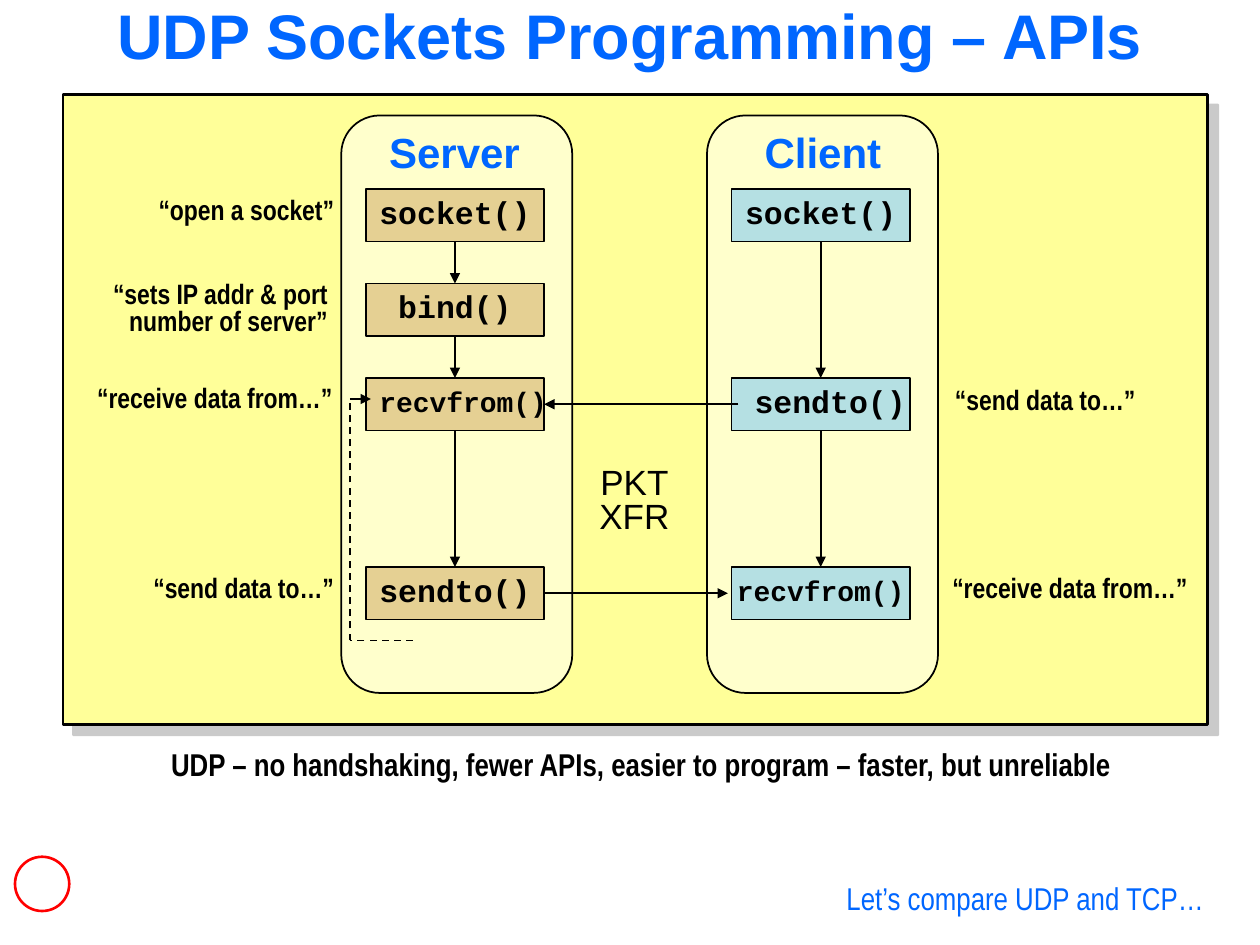
from lxml import etree
from pptx import Presentation
from pptx import util as u
from pptx.dml import color
from pptx.enum import dml, shapes, text
from pptx.oxml import ns

COLORS = {
    "title": "0066FF", "ink": "000000", "panel": "FFFF99", "lane": "FFFFCC",
    "server": "E5D093", "client": "B5E0E3", "shadow": "969696",
    "badge": "FF0000", "paper": "FFFFFF",
}
BOX_WIDTH, BOX_HEIGHT, LANE_MARGIN = 102, 30, 14
ROWS = {"open": 108, "bind": 162, "request": 216, "reply": 324}
LANES = {
    "server": (195, "Server", 215.3, 89.3, [
        ("open", "socket()", 18), ("bind", "bind()", 18),
        ("request", " recvfrom()", 16), ("reply", "sendto()", 18)]),
    "client": (404, "Client", 429.8, 80.6, [
        ("open", "socket()", 18), ("request", " sendto()", 18),
        ("reply", "recvfrom()", 16)]),
}
NOTES = [
    ("“open a socket”", 83.5, 110.2, 114.5, 23, "LEFT"),
    ("“sets IP addr & port\nnumber of server”", 57.6, 158.4, 136.8, 38.2, "RIGHT"),
    ("“receive data from…”", 48.2, 217.4, 149, 23, "RIGHT"),
    ("“send data to…”", 80.6, 326.2, 117.4, 23, "LEFT"),
    ("“send data to…”", 538.6, 218.9, 117.4, 23, "LEFT"),
    ("“receive data from…”", 537.1, 326.2, 149, 23, "LEFT"),
]


def rgb(name):
    """Return the named colour."""
    return color.RGBColor.from_string(COLORS[name])


def add_element(parent, tag, **attributes):
    """Append a DrawingML element with the given attributes."""
    return etree.SubElement(parent, ns.qn(tag), attributes)


def write(frame, words, size=16, font="Arial Narrow", ink="ink", bold=True,
          align="LEFT", spacing=0.8, anchor="TOP", wrap=True):
    """Put one formatted paragraph into a text frame."""
    frame.word_wrap = wrap
    frame.vertical_anchor = getattr(text.MSO_ANCHOR, anchor)
    paragraph = frame.paragraphs[0]
    paragraph.text = words
    paragraph.alignment = getattr(text.PP_ALIGN, align)
    paragraph.line_spacing = spacing
    for run in paragraph.runs:
        run.font.size = u.Pt(size)
        run.font.name = font
        run.font.bold = bold
        run.font.color.rgb = rgb(ink)


def add_label(slide, words, left, top, width, height, align="LEFT", **style):
    """Add a free-standing label, with an inset only on its aligned side."""
    label = slide.shapes.add_textbox(u.Pt(left), u.Pt(top), u.Pt(width), u.Pt(height))
    frame = label.text_frame
    frame.margin_left = u.Pt(7.2 if align == "LEFT" else 0)
    frame.margin_right = u.Pt(7.2 if align == "RIGHT" else 0)
    write(frame, words, align=align, **style)


def add_block(slide, kind, left, top, width, height, fill, line="ink", weight=1):
    """Add a filled and outlined preset shape."""
    block = slide.shapes.add_shape(kind, u.Pt(left), u.Pt(top), u.Pt(width), u.Pt(height))
    block.shadow.inherit = False
    block.fill.solid()
    block.fill.fore_color.rgb = rgb(fill)
    block.line.color.rgb = rgb(line)
    block.line.width = u.Pt(weight)
    return block


def add_link(slide, start=(0, 0), end=(0, 0), source=None, target=None,
             arrow=True, dashed=False):
    """Add a line, joined to (box, side) pairs where they are given."""
    link = slide.shapes.add_connector(
        shapes.MSO_CONNECTOR.STRAIGHT, *(u.Pt(value) for value in (*start, *end)))
    if source:
        link.begin_connect(*source)
    if target:
        link.end_connect(*target)
    link.line.color.rgb = rgb("ink")
    link.line.width = u.Pt(1)
    if dashed:
        link.line.dash_style = dml.MSO_LINE.DASH
    properties = link._element.spPr
    if arrow:
        add_element(properties.get_or_add_ln(), "a:tailEnd", type="triangle")
    add_element(properties, "a:effectLst")


def add_title(slide):
    """Place and format the title."""
    title = slide.shapes.title
    title.left, title.top, title.width, title.height = (
        u.Pt(value) for value in (0, 4.3, 720, 48.2))
    frame = title.text_frame
    frame.margin_left = frame.margin_right = u.Pt(3.6)
    frame.margin_top = frame.margin_bottom = u.Pt(3.6)
    write(frame, "UDP Sockets Programming – APIs", size=36, font="Arial",
          ink="title", align="CENTER", spacing=0.75)


def add_panel(slide):
    """Add the background panel with its offset shadow."""
    panel = add_block(slide, shapes.MSO_SHAPE.RECTANGLE, 36, 54, 654, 360, "panel", weight=1.5)
    effects = panel._element.spPr.find(ns.qn("a:effectLst"))
    shadow = add_element(effects, "a:outerShdw", dist=str(u.Pt(8.5)), dir="2700000",
                         algn="ctr", rotWithShape="0")
    tint = add_element(shadow, "a:srgbClr", val=COLORS["shadow"])
    add_element(tint, "a:alpha", val="50000")


def add_lane(slide, role):
    """Add one role's lane and chain of calls, and return the boxes by row."""
    left, heading, heading_left, heading_width, calls = LANES[role]
    add_block(slide, shapes.MSO_SHAPE.ROUNDED_RECTANGLE, left, 66, 132, 330, "lane")
    add_label(slide, heading, heading_left, 74.2, heading_width, 30.2,
              size=24, font="Arial", ink="title")
    boxes = {}
    previous = None
    for row, call, size in calls:
        box = add_block(slide, shapes.MSO_SHAPE.RECTANGLE, left + LANE_MARGIN,
                        ROWS[row], BOX_WIDTH, BOX_HEIGHT, role)
        write(box.text_frame, call, size=size, font="Courier New",
              align="CENTER", anchor="MIDDLE", wrap=False)
        if previous:
            add_link(slide, source=(previous, 2), target=(box, 0))
        boxes[row] = previous = box
    return boxes


def add_exchange(slide, server):
    """Add the packet arrows between the lanes and the server's loop."""
    middle = BOX_HEIGHT / 2
    add_link(slide, start=(422, ROWS["request"] + middle), target=(server["request"], 3))
    add_link(slide, end=(416, ROWS["reply"] + middle), source=(server["reply"], 3))
    add_label(slide, "PKT\nXFR", 335.5, 264.2, 54, 46.1, size=20, font="Arial",
              bold=False, align="CENTER")
    loop = [(236, 366), (200, 366), (200, 228), (212, 228)]
    for start, end in zip(loop, loop[1:]):
        last = end == loop[-1]
        add_link(slide, start, end, arrow=last, dashed=not last)


def main():
    """Build the slide and save it."""
    deck = Presentation()
    deck.slide_width, deck.slide_height = u.Pt(720), u.Pt(540)
    slide = deck.slides.add_slide(deck.slide_layouts[5])
    add_title(slide)
    add_panel(slide)
    server = add_lane(slide, "server")
    add_lane(slide, "client")
    add_exchange(slide, server)
    for words, left, top, width, height, align in NOTES:
        add_label(slide, words, left, top, width, height, align=align)
    add_label(slide, "UDP – no handshaking, fewer APIs, easier to program – faster, but unreliable",
              90.7, 426.2, 557.3, 24.5, size=18)
    add_label(slide, "Let’s compare UDP and TCP…", 476.6, 501.1, 219.6, 26.6,
              size=18, ink="title", bold=False, spacing=0.9)
    add_block(slide, shapes.MSO_SHAPE.OVAL, 8.6, 489.6, 31, 31, "paper", "badge", 1.5)
    deck.save("out.pptx")


if __name__ == "__main__":
    main()
